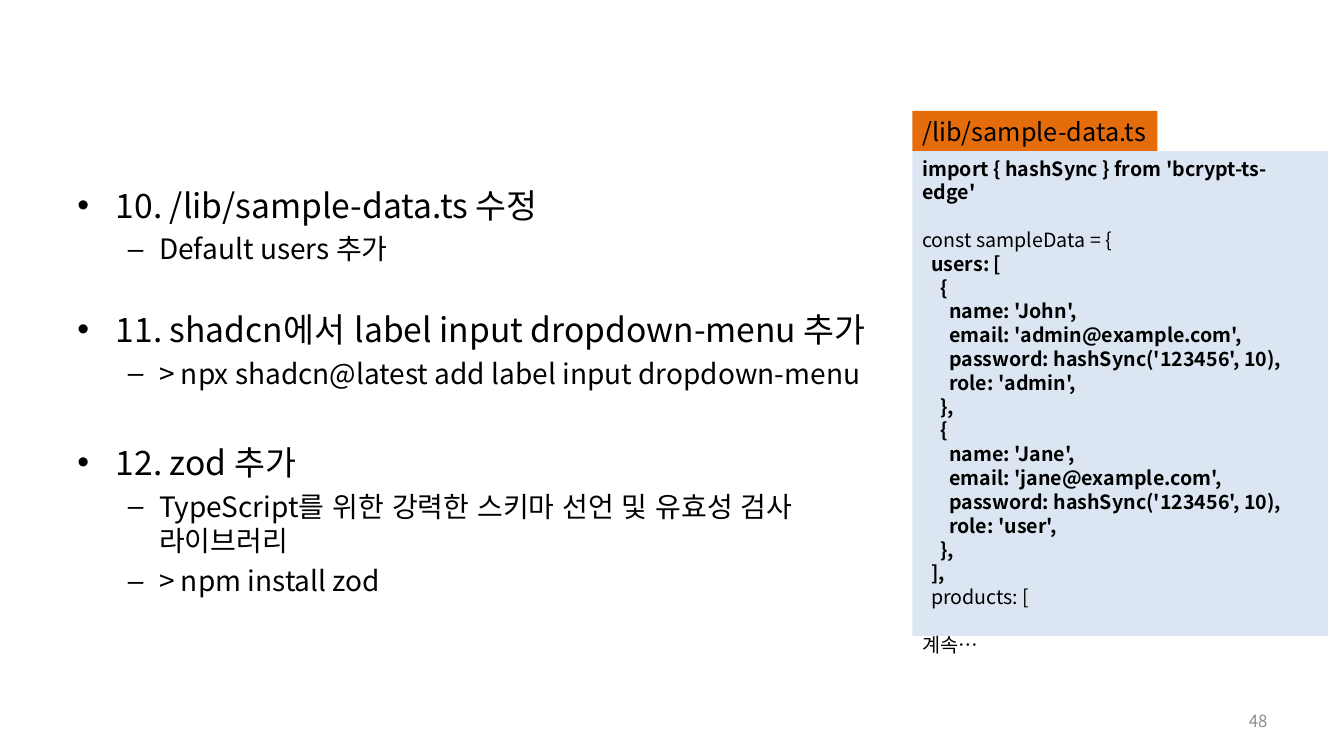
import pptx
import pptx.util
import pptx.dml.color
import pptx.enum.lang
import pptx.enum.shapes
import pptx.enum.text
import pptx.oxml
import pptx.oxml.ns
from dataclasses import dataclass

Inches = pptx.util.Inches
Pt = pptx.util.Pt
ALIGN = pptx.enum.text.PP_ALIGN
ANCHOR = pptx.enum.text.MSO_ANCHOR


@dataclass(frozen=True)
class Theme:
    font: str = "Noto Sans CJK KR"
    ink: str = "000000"
    muted: str = "8C8C8C"
    code_fill: str = "DCE6F2"
    label_fill: str = "E46C0A"
    step: int = 24
    detail: int = 20
    label: int = 18
    code: int = 14
    number: int = 12


THEME = Theme()

# Bullet, left edge, hanging indent, type size and line height of each level
LEVELS = [
    {"char": "•", "left": 0.38, "hang": 0.38, "size": THEME.step, "line": 31},
    {"char": "–", "left": 0.81, "hang": 0.31, "size": THEME.detail, "line": 24},
]

# Level, space before, text
STEPS = [
    (0, 0, "10. /lib/sample-data.ts 수정"),
    (1, 5, "Default users 추가"),
    (0, 29, "11. shadcn에서 label input dropdown-menu 추가"),
    (1, 5, "> npx shadcn@latest add label input dropdown-menu"),
    (0, 35, "12. zod 추가"),
    (1, 5, "TypeScript를 위한 강력한 스키마 선언 및 유효성 검사\v라이브러리"),
    (1, 5, "> npm install zod"),
]

CODE_LINE = 17
# Bold, space before, lines
CODE = [
    (True, 0, ["import { hashSync } from 'bcrypt-ts-edge'"]),
    (False, CODE_LINE, ["const sampleData = {"]),
    (True, 0, [
        "  users: [",
        "    {",
        "      name: 'John',",
        "      email: 'admin@example.com',",
        "      password: hashSync('123456', 10),",
        "      role: 'admin',",
        "    },",
        "    {",
        "      name: 'Jane',",
        "      email: 'jane@example.com',",
        "      password: hashSync('123456', 10),",
        "      role: 'user',",
        "    },",
        "  ],",
    ]),
    (False, 0, ["  products: ["]),
    (False, CODE_LINE, ["계속…"]),
]


def set_attrs(obj, values):
    for name, value in values.items():
        setattr(obj, name, value)


def rgb(value):
    return pptx.dml.color.RGBColor.from_string(value)


def add_box(s, box, fill=None, **frame):
    """Add a text box, or a filled rectangle, and return its text frame."""
    box = [Inches(v) for v in box]
    if fill:
        sp = s.shapes.add_shape(pptx.enum.shapes.MSO_SHAPE.RECTANGLE, *box)
        sp.shadow.inherit = False
        sp.fill.solid()
        sp.fill.fore_color.rgb = rgb(fill)
        sp.line.fill.background()
    else:
        sp = s.shapes.add_textbox(*box)
    tf = sp.text_frame
    set_attrs(tf, {"word_wrap": True, "vertical_anchor": ANCHOR.TOP, **frame})
    return tf


def write(tf, text, size, color=THEME.ink, bold=False, **layout):
    """Fill the first empty paragraph, or a new one, and return it."""
    p = tf.paragraphs[0] if not tf.text else tf.add_paragraph()
    set_attrs(p, {"alignment": ALIGN.LEFT, **layout})
    p.text = text
    for r in p.runs:
        set_attrs(r.font, {"name": THEME.font, "size": Pt(size), "bold": bold,
                           "language_id": pptx.enum.lang.MSO_LANGUAGE_ID.KOREAN})
        r.font.color.rgb = rgb(color)
        ea = pptx.oxml.parse_xml(
            f'<a:ea {pptx.oxml.ns.nsdecls("a")} typeface="{THEME.font}"/>')
        r.font._element.find(pptx.oxml.ns.qn("a:latin")).addnext(ea)
    return p


def set_bullet(p, char, left, hang):
    pPr = p._p.get_or_add_pPr()
    pPr.set("marL", str(Inches(left)))
    pPr.set("indent", str(-Inches(hang)))
    ns = pptx.oxml.ns.nsdecls("a")
    pPr.append(pptx.oxml.parse_xml(f'<a:buFont {ns} typeface="Arial"/>'))
    pPr.append(pptx.oxml.parse_xml(f'<a:buChar {ns} char="{char}"/>'))


def add_steps(s, box):
    tf = add_box(s, box)
    for level, before, text in STEPS:
        style = LEVELS[level]
        p = write(tf, text, style["size"], level=level,
                  space_before=Pt(before), line_spacing=Pt(style["line"]))
        set_bullet(p, style["char"], style["left"], style["hang"])


def add_listing(s, box, label, label_width=2.43, label_height=0.4):
    x, y, w, h = box
    # File name tab
    tf = add_box(s, (x, y, label_width, label_height), THEME.label_fill,
                 word_wrap=False, vertical_anchor=ANCHOR.MIDDLE)
    write(tf, label, THEME.label)
    # Code panel
    tf = add_box(s, (x, y + label_height, w, h - label_height), THEME.code_fill)
    for bold, before, lines in CODE:
        for line in lines:
            write(tf, line, THEME.code, bold=bold,
                  space_before=Pt(before), line_spacing=Pt(CODE_LINE))


def add_page_number(s, box, number):
    tf = add_box(s, box, vertical_anchor=ANCHOR.MIDDLE)
    write(tf, number, THEME.number, THEME.muted, alignment=ALIGN.RIGHT)


def main():
    prs = pptx.Presentation()
    set_attrs(prs, {"slide_width": Inches(13.33), "slide_height": Inches(7.5)})
    s = prs.slides.add_slide(prs.slide_layouts[6])
    add_steps(s, (0.67, 1.75, 12, 4.95))
    add_listing(s, (9.05, 1.1, 4.12, 5.21), "/lib/sample-data.ts")
    add_page_number(s, (9.56, 6.95, 3.11, 0.4), "48")
    prs.save("out.pptx")


if __name__ == "__main__":
    main()
